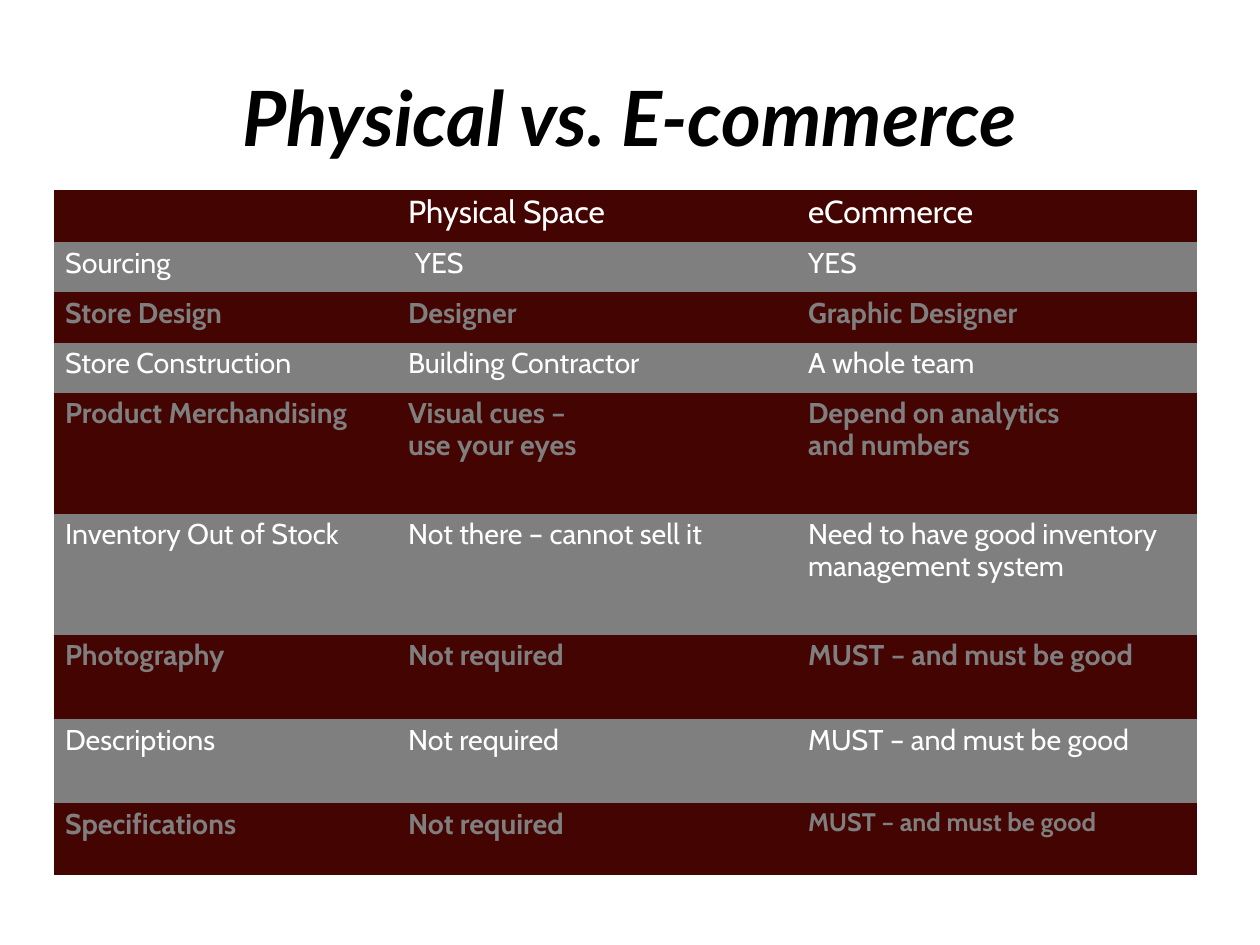
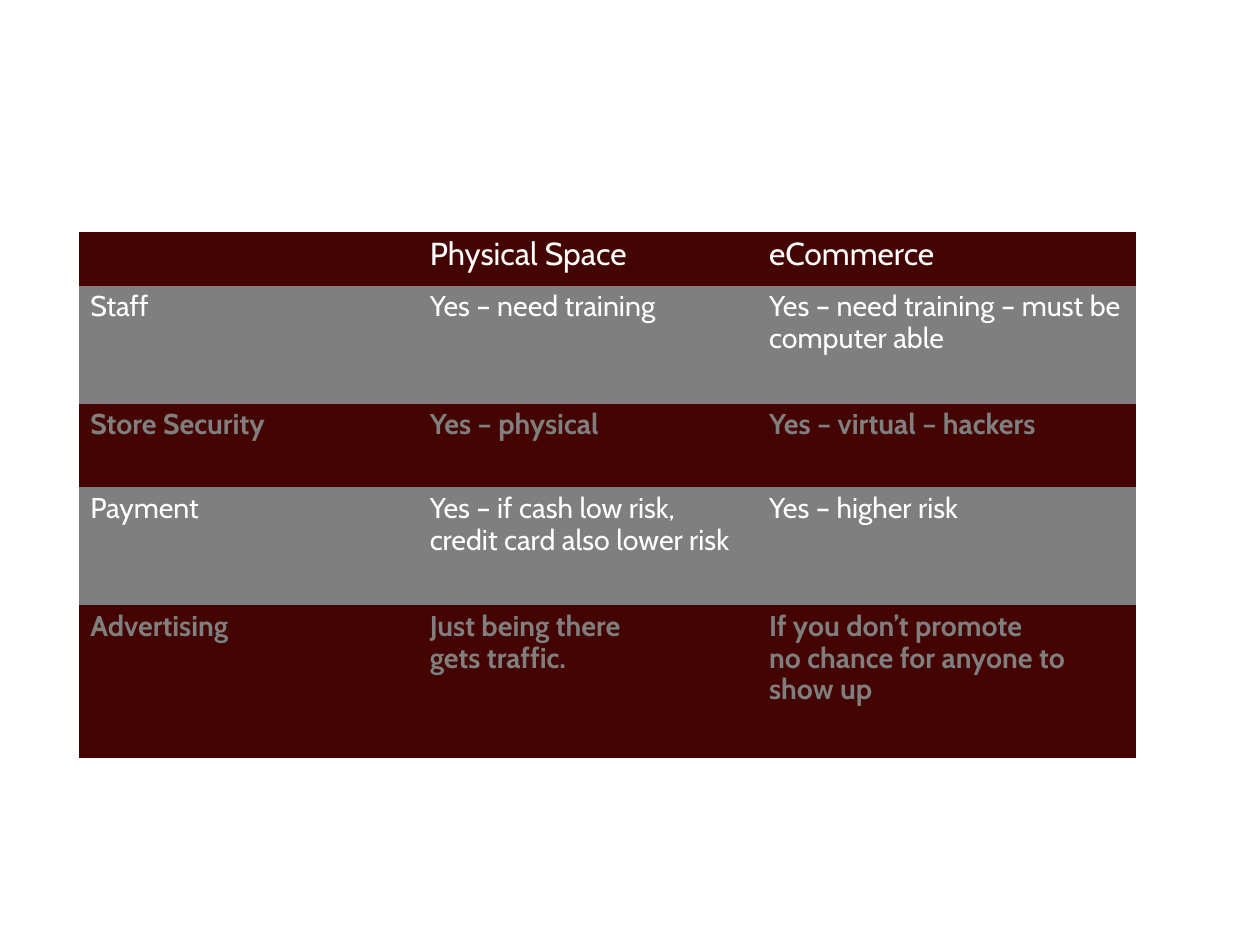
"""Build two slides that compare physical shops with online shops."""
from pptx import Presentation
from pptx.dml.color import RGBColor
from pptx.enum.text import MSO_ANCHOR, PP_ALIGN
from pptx.util import Cm, Inches, Pt

CENTER = PP_ALIGN.CENTER
MIDDLE = MSO_ANCHOR.MIDDLE

MAROON = RGBColor(0x43, 0x04, 0x02)
GREY = RGBColor(0x7F, 0x7F, 0x7F)
WHITE = RGBColor(0xFF, 0xFF, 0xFF)
BLACK = RGBColor(0x00, 0x00, 0x00)

TITLE_FONT = "Lato"
TABLE_FONT = "Cabin"
HEADER_SIZE = 20
BODY_SIZE = 18
SMALL_SIZE = 16
PLAIN_TABLE_STYLE = "{2D5ABB26-0587-4C30-8999-92F81FD0307C}"

HEADINGS = ("", "Physical Space", "eCommerce")

SHOP_ROWS = [
    (0.46, HEADINGS),
    (0.44, ("Sourcing", "YES", "YES")),
    (0.44, ("Store Design", "Designer", "Graphic Designer")),
    (0.44, ("Store Construction", "Building Contractor", "A whole team")),
    (1.06, ("Product Merchandising", "Visual cues –\nuse your eyes",
            "Depend on analytics\nand numbers")),
    (1.06, ("Inventory Out of Stock", "Not there – cannot sell it",
            "Need to have good inventory management system")),
    (0.74, ("Photography", "Not required", "MUST – and must be good")),
    (0.74, ("Descriptions", "Not required", "MUST – and must be good")),
    (0.63, ("Specifications", "Not required", "MUST – and must be good")),
]

OPERATION_ROWS = [
    (0.47, HEADINGS),
    (1.03, ("Staff", "Yes – need training",
            "Yes – need training – must be computer able")),
    (0.73, ("Store Security", "Yes – physical", "Yes – virtual – hackers")),
    (1.03, ("Payment", "Yes – if cash low risk, credit card also lower risk",
            "Yes – higher risk")),
    (1.33, ("Advertising", "Just being there\ngets traffic.",
            "If you don’t promote\nno chance for anyone to show up")),
]


def style_font(para, name, size, color, bold):
    """Set the font of a whole paragraph."""
    font = para.font
    font.name = name
    font.size = Pt(size)
    font.color.rgb = color
    font.bold = bold


def add_page(deck):
    """Add a slide on the blank layout."""
    return deck.slides.add_slide(deck.slide_layouts[6])


def add_title(page, text):
    """Add the centred italic title."""
    box = page.shapes.add_textbox(
        Inches(0.55), Inches(0.42), Inches(9.92), Inches(1.28))
    frame = box.text_frame
    frame.word_wrap = True
    frame.vertical_anchor = MIDDLE
    frame.margin_left = frame.margin_right = 0
    frame.margin_top = frame.margin_bottom = 0
    para = frame.paragraphs[0]
    para.text = text
    para.alignment = CENTER
    para.line_spacing = 0.93
    style_font(para, TITLE_FONT, 48, BLACK, True)
    para.font.italic = True


def fill_cell(cell, text, row_index):
    """Write a cell in the style of its row: header, grey band or maroon band."""
    is_header = row_index == 0
    is_grey = row_index % 2 == 1
    cell.fill.solid()
    cell.fill.fore_color.rgb = GREY if is_grey else MAROON
    para = cell.text_frame.paragraphs[0]
    para.text = text
    para.line_spacing = 0.91
    style_font(para, TABLE_FONT,
               HEADER_SIZE if is_header else BODY_SIZE,
               WHITE if is_header or is_grey else GREY,
               not (is_header or is_grey))


def add_comparison(page, left, top, width, height, column_shares, rows):
    """Add a banded table whose columns and rows share its size, and return it."""
    table = page.shapes.add_table(
        len(rows), len(column_shares), Inches(left), Inches(top),
        Inches(width), Inches(height)).table
    table._tbl.tblPr[0].text = PLAIN_TABLE_STYLE
    table.first_row = table.horz_banding = False
    for column, share in zip(table.columns, column_shares):
        column.width = Inches(width * share / sum(column_shares))
    row_total = sum(share for share, _ in rows)
    for row_index, (share, texts) in enumerate(rows):
        row = table.rows[row_index]
        row.height = Inches(height * share / row_total)
        for cell, text in zip(row.cells, texts):
            fill_cell(cell, text, row_index)
    return table


def main():
    """Build and save the deck."""
    deck = Presentation()
    deck.slide_width = Cm(28)
    deck.slide_height = Cm(21)

    page = add_page(deck)
    add_title(page, "Physical vs. E-commerce")
    table = add_comparison(page, 0.47, 1.66, 10, 6, (6, 7, 7), SHOP_ROWS)
    table.cell(1, 1).margin_left = Inches(0.16)
    last_cell = table.cell(len(SHOP_ROWS) - 1, 2)
    last_cell.text_frame.paragraphs[0].font.size = Pt(SMALL_SIZE)

    add_comparison(add_page(deck), 0.69, 2.03, 9.25, 4.6,
                   (2.97, 2.97, 3.31), OPERATION_ROWS)
    deck.save("out.pptx")


if __name__ == "__main__":
    main()
